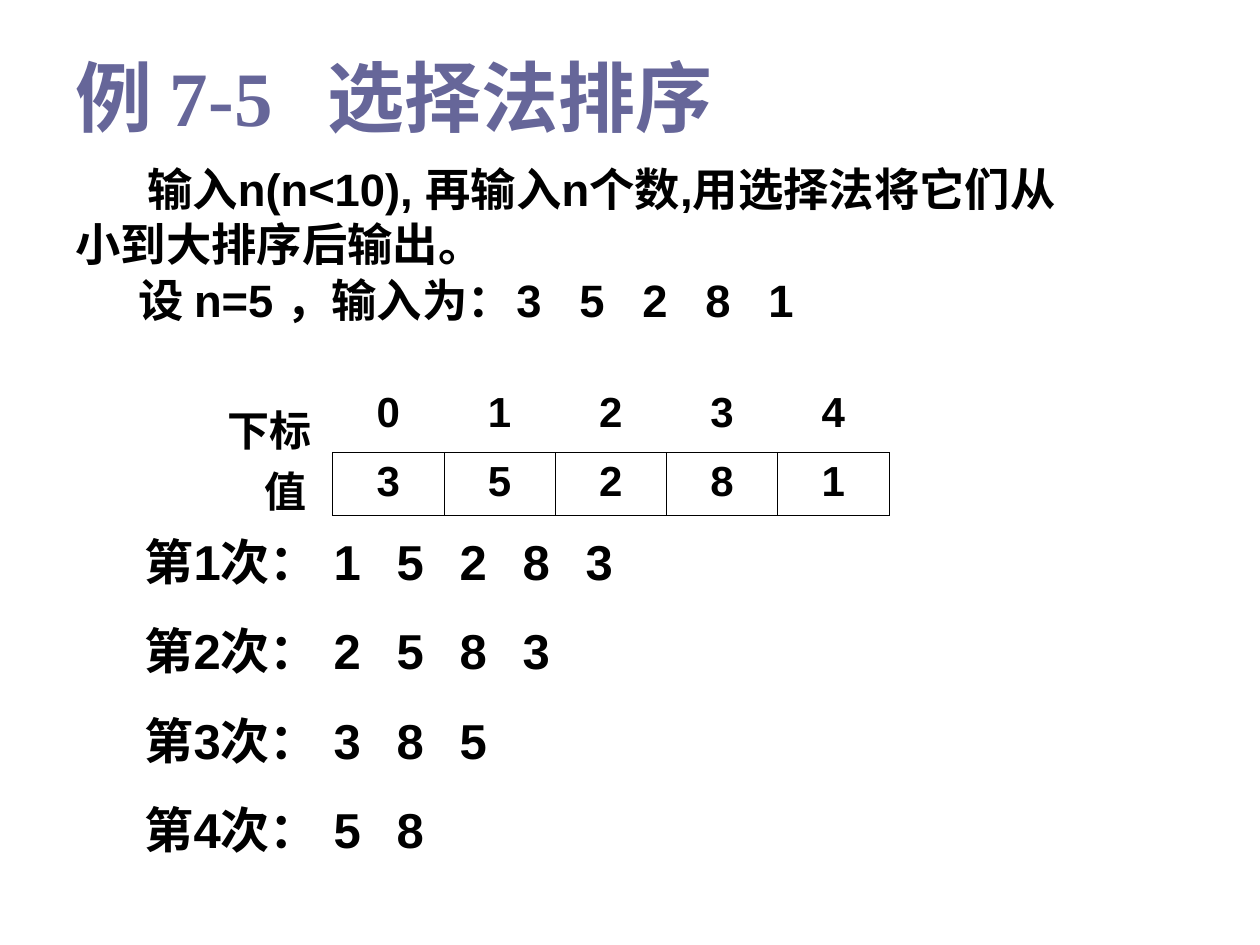
from dataclasses import dataclass

from lxml import etree
from pptx import Presentation
from pptx.dml.color import RGBColor
from pptx.enum.text import MSO_ANCHOR, PP_ALIGN
from pptx.oxml.ns import qn
from pptx.util import Pt

CENTER = PP_ALIGN.CENTER
TOP, MIDDLE = MSO_ANCHOR.TOP, MSO_ANCHOR.MIDDLE
BLACK, SLATE = "000000", "666699"


@dataclass(frozen=True)
class Line:
    text: str
    indent: float = 0
    stops: tuple[float, ...] = ()


@dataclass(frozen=True)
class Block:
    left: float
    top: float
    width: float
    height: float
    lines: tuple[Line, ...]
    size: float
    font: str = "Arial"
    color: str = BLACK
    before: float = 0
    spacing: float = 1.0
    anchor: MSO_ANCHOR = TOP
    wrap: bool = True


def numbered(label: str, values: str) -> str:
    """Put a tab before each of the values that follow the label."""
    return "\t".join([label, *values])


PASSES = (
    ("15283", (180, 242, 312, 374, 437)),
    ("2583", (231, 301, 363, 425)),
    ("385", (288, 350, 412)),
    ("58", (339, 401)),
)
INPUT_STOPS = tuple(267.5 + 28.8 * i for i in range(5))

BLOCKS = (
    Block(36, 9.4, 648, 90.7, (Line("例 7-5\t选择法排序", 0, (156,)),), 44,
          font="Times New Roman", color=SLATE, anchor=MIDDLE),
    Block(36, 94.3, 641.5, 107.3, (
        Line("输入n(n<10), 再输入n个数,用选择法将它们从", 41),
        Line("小到大排序后输出。"),
        Line(numbered("设 n=5 ，输入为：", "35281"), 36, INPUT_STOPS),
    ), 25.9, before=7, spacing=0.8),
    Block(39.6, 300.2, 570.2, 216, tuple(
        Line(numbered(f"第{number}次：", values), 36, stops)
        for number, (values, stops) in enumerate(PASSES, 1)
    ), 28, before=17.5),
    Block(123.1, 227.5, 62.6, 70.6, (Line("下标"), Line("值", 21)), 24,
          before=6, wrap=False),
)


def rgb(color: str) -> RGBColor:
    return RGBColor.from_string(color)


def add_span(para, text: str, size: float, font: str, color: str) -> None:
    span = para.add_run()
    span.text = text
    for name, value in {"size": Pt(size), "name": font, "bold": True}.items():
        setattr(span.font, name, value)
    span.font.color.rgb = rgb(color)


def set_indent_and_tabs(para, line: Line) -> None:
    properties = para._p.get_or_add_pPr()
    properties.set("marL", "0")
    properties.set("indent", str(Pt(line.indent)))
    if line.stops:
        tabs = etree.SubElement(properties, qn("a:tabLst"))
        for stop in line.stops:
            etree.SubElement(tabs, qn("a:tab"), pos=str(Pt(stop)), algn="l")


def add_block(page, block: Block) -> None:
    box = page.shapes.add_textbox(Pt(block.left), Pt(block.top),
                                  Pt(block.width), Pt(block.height))
    frame = box.text_frame
    frame.word_wrap = block.wrap
    frame.vertical_anchor = block.anchor
    for number, line in enumerate(block.lines):
        para = frame.add_paragraph() if number else frame.paragraphs[0]
        set_indent_and_tabs(para, line)
        para.line_spacing = block.spacing
        para.space_before = Pt(block.before if number else 0)
        add_span(para, line.text, block.size, block.font, block.color)


def set_borders(cell, drawn_sides: str) -> None:
    """Draw the sides named by their letters (L, R, T, B) and clear the rest."""
    properties = cell._tc.get_or_add_tcPr()
    for position, side in enumerate("LRTB"):
        border = etree.Element(qn(f"a:ln{side}"), w=str(Pt(0.45)))
        if side in drawn_sides:
            fill = etree.SubElement(border, qn("a:solidFill"))
            etree.SubElement(fill, qn("a:srgbClr"), val=BLACK)
        else:
            etree.SubElement(border, qn("a:noFill"))
        properties.insert(position, border)


def add_array_table(page) -> None:
    rows = (("01234", 39.6, "B"), ("35281", 36, "LRTB"))
    table = page.shapes.add_table(2, 5, Pt(190.1), Pt(218.9),
                                  Pt(318), Pt(75.6)).table
    table.first_row = table.horz_banding = False
    for column in table.columns:
        column.width = Pt(63.6)
    for row, (values, height, sides) in zip(table.rows, rows):
        row.height = Pt(height)
        for cell, value in zip(row.cells, values):
            cell.fill.background()
            set_borders(cell, sides)
            para = cell.text_frame.paragraphs[0]
            para.alignment = CENTER
            add_span(para, value, 24, "Arial", BLACK)


def main() -> None:
    deck = Presentation()
    deck.slide_width, deck.slide_height = Pt(720), Pt(540)
    page = deck.slides.add_slide(deck.slide_layouts[6])
    for block in BLOCKS:
        add_block(page, block)
    add_array_table(page)
    deck.save("out.pptx")


if __name__ == "__main__":
    main()
